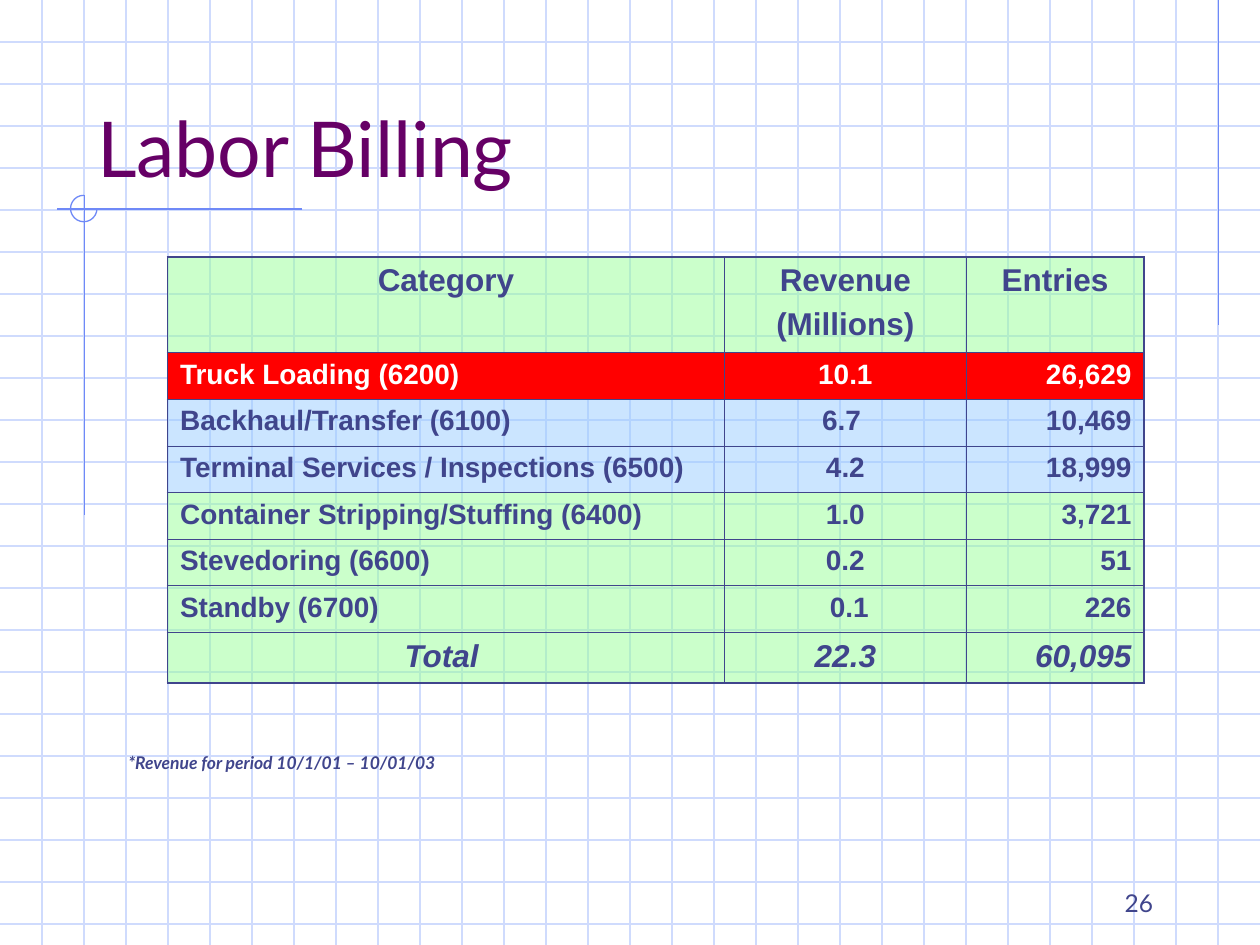
from lxml import etree
from pptx import Presentation
from pptx.dml.color import RGBColor
from pptx.enum import shapes, text
from pptx.oxml import ns
from pptx.util import Inches, Pt

GRID, ACCENT, INK = "CFDBFD", "6F89F7", "40458C"
GREEN, BLUE, RED = "99FF99", "99CCFF", "FF0000"
LEFT, CENTER, RIGHT = text.PP_ALIGN.LEFT, text.PP_ALIGN.CENTER, text.PP_ALIGN.RIGHT

prs = Presentation()
prs.slide_width, prs.slide_height = Inches(10), Inches(7.5)
s = prs.slides.add_slide(prs.slide_layouts[5])


def add_line(x1, y1, x2, y2, color):
    c = s.shapes.add_connector(shapes.MSO_CONNECTOR.STRAIGHT,
                               Inches(x1), Inches(y1), Inches(x2), Inches(y2))
    c.line.color.rgb = RGBColor.from_string(color)
    c.line.width = Pt(0.75)
    etree.SubElement(c._element.spPr, ns.qn("a:effectLst"))


def add_text(p, words, size, color, font="Lato", align=LEFT, bold=False, italic=False):
    p.alignment = align
    r = p.add_run()
    r.text = words
    r.font.name, r.font.size = font, Pt(size)
    r.font.bold, r.font.italic = bold, italic
    r.font.color.rgb = RGBColor.from_string(color)


# Graph-paper background, three squares to the inch
for i in range(1, 23):
    add_line(0, i / 3, 10, i / 3, GRID)
for i in range(1, 30):
    add_line(i / 3, 0, i / 3, 7.5, GRID)

# Accent lines and the open circle where they cross
add_line(9.67, 0, 9.67, 2.58, ACCENT)
add_line(2.4, 1.66, 0.45, 1.66, ACCENT)
add_line(0.67, 1.55, 0.67, 4.09, ACCENT)
arc = s.shapes.add_shape(shapes.MSO_SHAPE.ARC, Inches(0.56), Inches(1.55),
                         Inches(0.21), Inches(0.21))
arc.adjustments[0], arc.adjustments[1] = 0, 162  # 0 to 270 degrees
arc.shadow.inherit = False
arc.fill.background()
arc.line.color.rgb = RGBColor.from_string(ACCENT)
arc.line.width = Pt(0.75)

# Title, brought in front of the grid
title = s.shapes.title
s.shapes._spTree.append(title._element)
title.left, title.top = Inches(0.67), Inches(0.33)
title.width, title.height = Inches(8.5), Inches(1.25)
tf = title.text_frame
tf.auto_size = text.MSO_AUTO_SIZE.NONE
tf.vertical_anchor = text.MSO_ANCHOR.BOTTOM
add_text(tf.paragraphs[0], "Labor Billing", 44, "660066")

# Billing table
rows = [
    (GREEN, "Category", "Revenue\n(Millions)", "Entries"),
    (RED, "Truck Loading (6200)", "10.1", "26,629"),
    (BLUE, "Backhaul/Transfer (6100)", "6.7 ", "10,469"),
    (BLUE, "Terminal Services / Inspections (6500)", "4.2", "18,999"),
    (GREEN, "Container Stripping/Stuffing (6400)", "1.0", "3,721"),
    (GREEN, "Stevedoring (6600)", " 0.2 ", "51"),
    (GREEN, "Standby (6700)", " 0.1", "226"),
    (GREEN, "Total ", " 22.3 ", "60,095"),
]
col_widths = [4.42, 1.92, 1.41]
row_heights = [0.76] + [0.37] * 6 + [0.4]
last_row, last_col = len(rows) - 1, len(col_widths) - 1

table = s.shapes.add_table(len(rows), len(col_widths), Inches(1.33), Inches(2.04),
                           Inches(sum(col_widths)), Inches(sum(row_heights))).table
table.first_row = table.horz_banding = False
for col, width in zip(table.columns, col_widths):
    col.width = Inches(width)
for row, height in zip(table.rows, row_heights):
    row.height = Inches(height)

for i, (fill, *values) in enumerate(rows):
    header, total = i == 0, i == last_row
    for j, value in enumerate(values):
        cell = table.cell(i, j)
        cell.fill.solid()
        cell.fill.fore_color.rgb = RGBColor.from_string(fill)
        tcPr = cell._tc.get_or_add_tcPr()
        if fill != RED:
            rgb = tcPr.find(".//" + ns.qn("a:srgbClr"))
            etree.SubElement(rgb, ns.qn("a:alpha"), val="50000")

        # The outer frame is heavier than the inner rules
        outer = {"lnL": j == 0, "lnR": j == last_col, "lnT": header, "lnB": total}
        for k, (side, heavy) in enumerate(outer.items()):
            ln = etree.Element(ns.qn("a:" + side), w=str(Pt(1.08 if heavy else 0.45)))
            solid = etree.SubElement(ln, ns.qn("a:solidFill"))
            etree.SubElement(solid, ns.qn("a:srgbClr"), val=INK)
            tcPr.insert(k, ln)

        if header or j == 1 or (total and j == 0):
            align = CENTER
        else:
            align = RIGHT if j == last_col else LEFT
        tf = cell.text_frame
        for n, words in enumerate(value.split("\n")):
            p = tf.add_paragraph() if n else tf.paragraphs[0]
            if n:
                p.space_before = Pt(4.5)
            add_text(p, words, 18 if header or total else 16,
                     "FFFFFF" if fill == RED else INK, "Arial", align, True, total)

# Footnote
tf = s.shapes.add_textbox(Inches(0.92), Inches(5.92), Inches(8.17), Inches(0.27)).text_frame
tf.word_wrap = True
add_text(tf.paragraphs[0], "*Revenue for period 10/1/01 – 10/01/03", 10, INK,
         bold=True, italic=True)

# Page number
tf = s.shapes.add_textbox(Inches(7.17), Inches(6.83), Inches(2.08), Inches(0.5)).text_frame
tf.word_wrap = True
tf.vertical_anchor = text.MSO_ANCHOR.BOTTOM
add_text(tf.paragraphs[0], "26", 14, INK, align=RIGHT)

prs.save("out.pptx")
